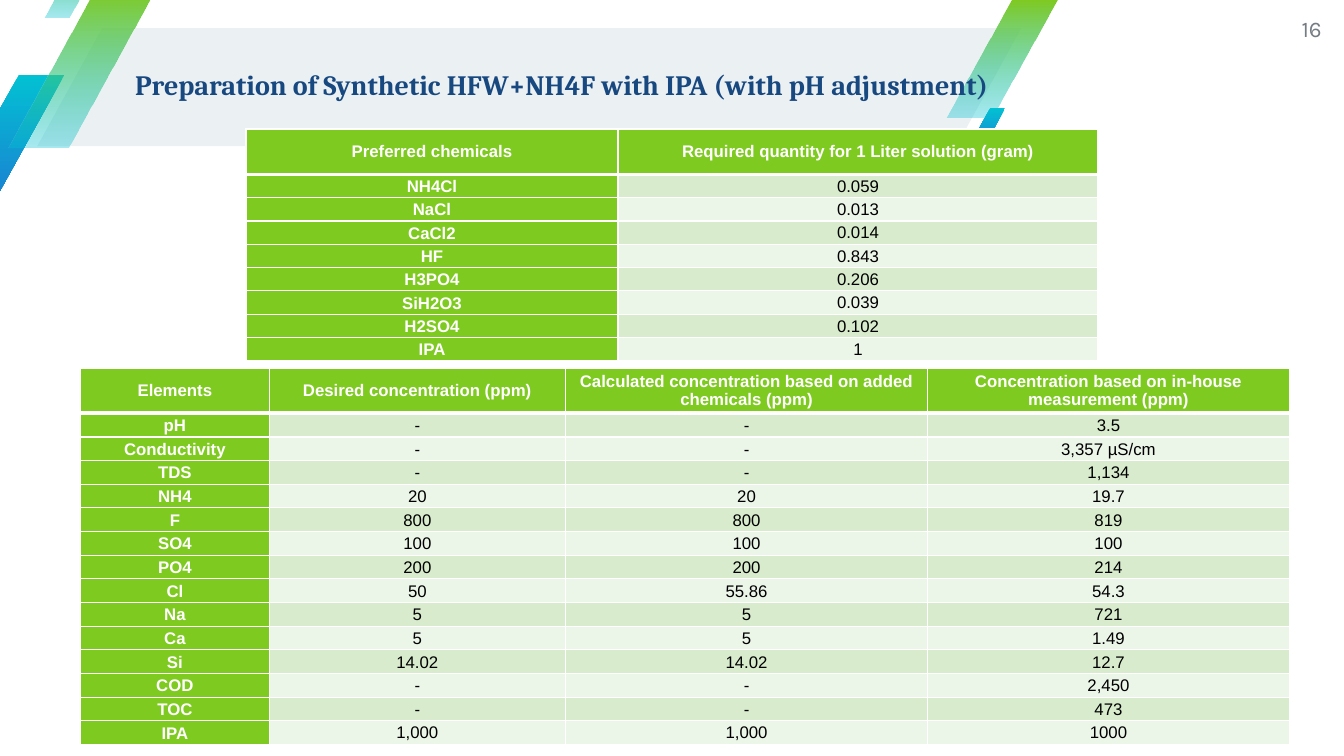
from dataclasses import dataclass

from lxml import etree
from pptx import Presentation
from pptx.dml.color import RGBColor
from pptx.enum import shapes, text
from pptx.oxml import ns
from pptx.util import Inches, Pt


@dataclass(frozen=True)
class Theme:
    title_font: str = "Cambria"
    table_font: str = "Arial"
    number_font: str = "Karla"
    title_size: int = 20
    table_size: int = 12
    number_size: int = 16
    navy: str = "184880"
    grey: str = "757C83"
    white: str = "FFFFFF"
    black: str = "000000"
    banner: str = "EBF0F3"
    green: str = "7FCA20"
    cyan: str = "02C1D3"
    blue: str = "1985D2"
    bands: tuple = ("D8ECCD", "ECF6E8")


THEME = Theme()
HEADER_HEIGHT = 0.45

CHEMICALS = [
    ("Preferred chemicals", "Required quantity for 1 Liter solution (gram)"),
    ("NH4Cl", "0.059"),
    ("NaCl", "0.013"),
    ("CaCl2", "0.014"),
    ("HF", "0.843"),
    ("H3PO4", "0.206"),
    ("SiH2O3", "0.039"),
    ("H2SO4", "0.102"),
    ("IPA", "1"),
]

ELEMENTS = [
    ("Elements", "Desired concentration (ppm)",
     "Calculated concentration based on added chemicals (ppm)",
     "Concentration based on in-house measurement (ppm)"),
    ("pH", "-", "-", "3.5"),
    ("Conductivity", "-", "-", "3,357 µS/cm"),
    ("TDS", "-", "-", "1,134"),
    ("NH4", "20", "20", "19.7"),
    ("F", "800", "800", "819"),
    ("SO4", "100", "100", "100"),
    ("PO4", "200", "200", "214"),
    ("Cl", "50", "55.86", "54.3"),
    ("Na", "5", "5", "721"),
    ("Ca", "5", "5", "1.49"),
    ("Si", "14.02", "14.02", "12.7"),
    ("COD", "-", "-", "2,450"),
    ("TOC", "-", "-", "473"),
    ("IPA", "1,000", "1,000", "1000"),
]


def write_text(frame, content, *, font, size, color, bold=False,
               align=text.PP_ALIGN.LEFT, line_spacing=None, space_after=None):
    paragraph = frame.paragraphs[0]
    paragraph.alignment = align
    if line_spacing:
        paragraph.line_spacing = line_spacing
    if space_after:
        paragraph.space_after = Pt(space_after)
    run = paragraph.add_run()
    run.text = content
    run.font.name = font
    run.font.size = Pt(size)
    run.font.bold = bold
    run.font.color.rgb = RGBColor.from_string(color)


def set_frame(frame):
    frame.word_wrap = True
    frame.auto_size = text.MSO_AUTO_SIZE.NONE
    frame.vertical_anchor = text.MSO_ANCHOR.MIDDLE
    frame.margin_left = frame.margin_top = 0
    frame.margin_right = frame.margin_bottom = 0


def add_parallelogram(group, left, top, width, height, colors, slant=0.59, end_opacity=100):
    shape = group.shapes.add_shape(shapes.MSO_SHAPE.PARALLELOGRAM, Inches(left),
                                   Inches(top), Inches(width), Inches(height))
    shape.adjustments[0] = slant
    shape.shadow.inherit = False
    shape.line.fill.background()
    if len(colors) == 1:
        shape.fill.solid()
        shape.fill.fore_color.rgb = RGBColor.from_string(colors[0])
        return
    shape.fill.gradient()
    shape.fill.gradient_angle = 270
    for stop, color in zip(shape.fill.gradient_stops, colors):
        stop.color.rgb = RGBColor.from_string(color)
    if end_opacity < 100:
        end_color = shape.element.findall(".//" + ns.qn("a:srgbClr"))[-1]
        alpha = etree.SubElement(end_color, ns.qn("a:alpha"))
        alpha.set("val", str(end_opacity * 1000))


def add_decoration(slide):
    group = slide.shapes.add_group_shape()
    solid = (THEME.cyan, THEME.blue)
    fading = (THEME.green, THEME.cyan)
    add_parallelogram(group, 0.37, 0.28, 9.76, 1.17, (THEME.banner,), slant=0.55)
    add_parallelogram(group, -0.46, 0.74, 1.1, 1.17, solid)
    for box in ((9.39, 0, 1.1, 1.17), (0.08, -0.1, 1.46, 1.56), (0.44, -0.48, 0.61, 0.65)):
        add_parallelogram(group, *box, fading, end_opacity=34)
    add_parallelogram(group, 9.61, 1.07, 0.36, 0.39, solid)


def add_title(slide, content):
    title = slide.shapes.title
    title.left, title.top = Inches(1.34), Inches(0.26)
    title.width, title.height = Inches(8.79), Inches(1.19)
    title.element.getparent().append(title.element)
    set_frame(title.text_frame)
    write_text(title.text_frame, content, font=THEME.title_font, size=THEME.title_size,
               color=THEME.navy, bold=True, line_spacing=0.9)


def add_slide_number(slide, number):
    box = slide.shapes.add_textbox(Inches(12.48), 0, Inches(0.63), Inches(0.57))
    set_frame(box.text_frame)
    write_text(box.text_frame, number, font=THEME.number_font, size=THEME.number_size,
               color=THEME.grey, align=text.PP_ALIGN.RIGHT)


def set_borders(cell, **widths):
    properties = cell._tc.get_or_add_tcPr()
    for side, width in widths.items():
        line = etree.SubElement(properties, ns.qn(f"a:ln{side}"), w=str(Pt(width)))
        fill = etree.SubElement(line, ns.qn("a:solidFill"))
        etree.SubElement(fill, ns.qn("a:srgbClr"), val=THEME.white)


def format_cell(cell, content, row, column):
    header, label = row == 0, column == 0
    strong = header or label
    side_margin = Inches(0.03 if strong else 0.01)
    cell.margin_left = cell.margin_right = side_margin
    cell.margin_top = Inches(0 if strong else 0.01)
    cell.margin_bottom = 0
    cell.vertical_anchor = text.MSO_ANCHOR.MIDDLE
    set_borders(cell, L=1, R=1, T=3 if row == 1 else 1, B=3 if header else 1)
    cell.fill.solid()
    background = THEME.green if strong else THEME.bands[(row - 1) % 2]
    cell.fill.fore_color.rgb = RGBColor.from_string(background)
    spacing = {"line_spacing": 1.07, "space_after": 8} if label and not header else {}
    write_text(cell.text_frame, content, font=THEME.table_font, size=THEME.table_size,
               color=THEME.white if strong else THEME.black, bold=strong,
               align=text.PP_ALIGN.CENTER, **spacing)


def add_data_table(slide, rows, left, top, height, column_widths):
    frame = slide.shapes.add_table(len(rows), len(column_widths), Inches(left), Inches(top),
                                   Inches(sum(column_widths)), Inches(height))
    table = frame.table
    for column, width in zip(table.columns, column_widths):
        column.width = Inches(width)
    body_height = (height - HEADER_HEIGHT) / (len(rows) - 1)
    for row, values in enumerate(rows):
        table.rows[row].height = Inches(body_height if row else HEADER_HEIGHT)
        for column, value in enumerate(values):
            format_cell(table.cell(row, column), value, row, column)


def main():
    presentation = Presentation()
    presentation.slide_width = Inches(13.33)
    presentation.slide_height = Inches(7.5)
    slide = presentation.slides.add_slide(presentation.slide_layouts[5])
    add_decoration(slide)
    add_title(slide, "Preparation of Synthetic HFW+NH4F with IPA (with pH adjustment)")
    add_slide_number(slide, "16")
    add_data_table(slide, CHEMICALS, 2.44, 1.28, 2.3, (3.69, 4.76))
    add_data_table(slide, ELEMENTS, 0.8, 3.65, 3.74, (1.87, 2.94, 3.59, 3.59))
    presentation.save("out.pptx")


if __name__ == "__main__":
    main()
